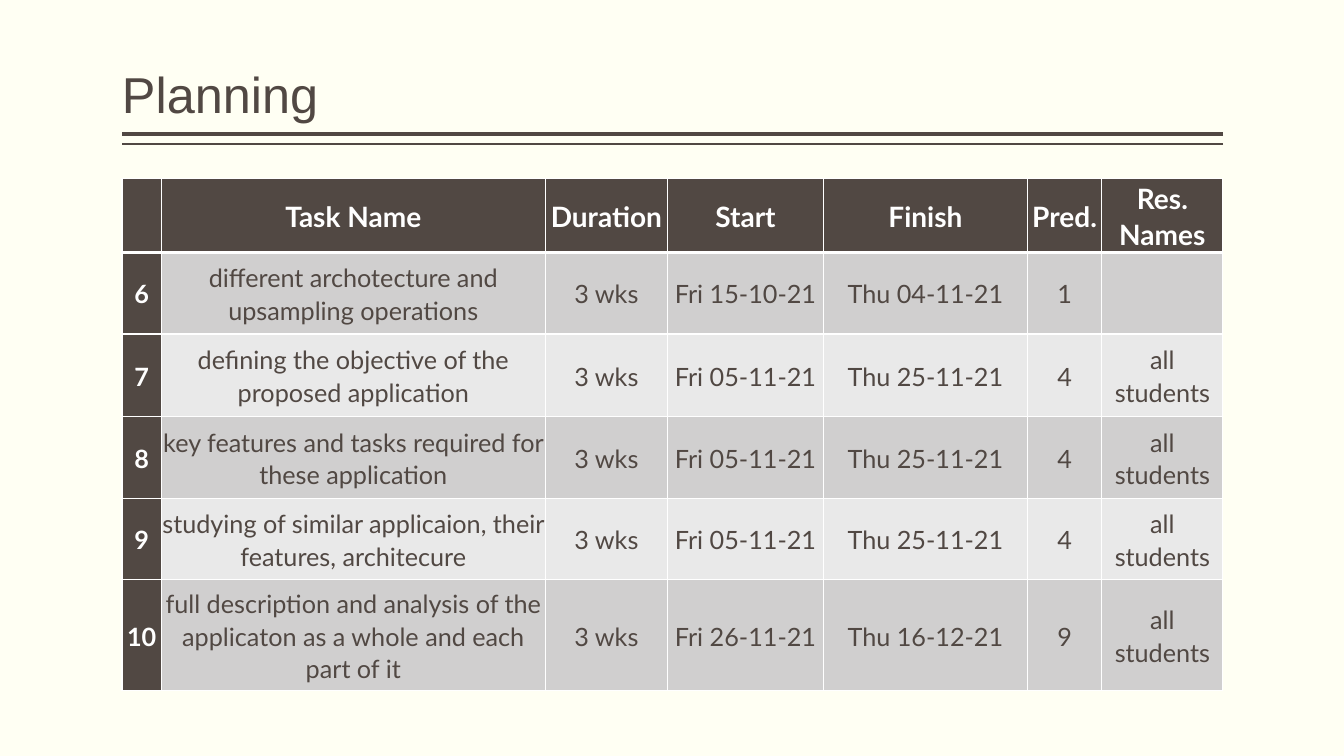
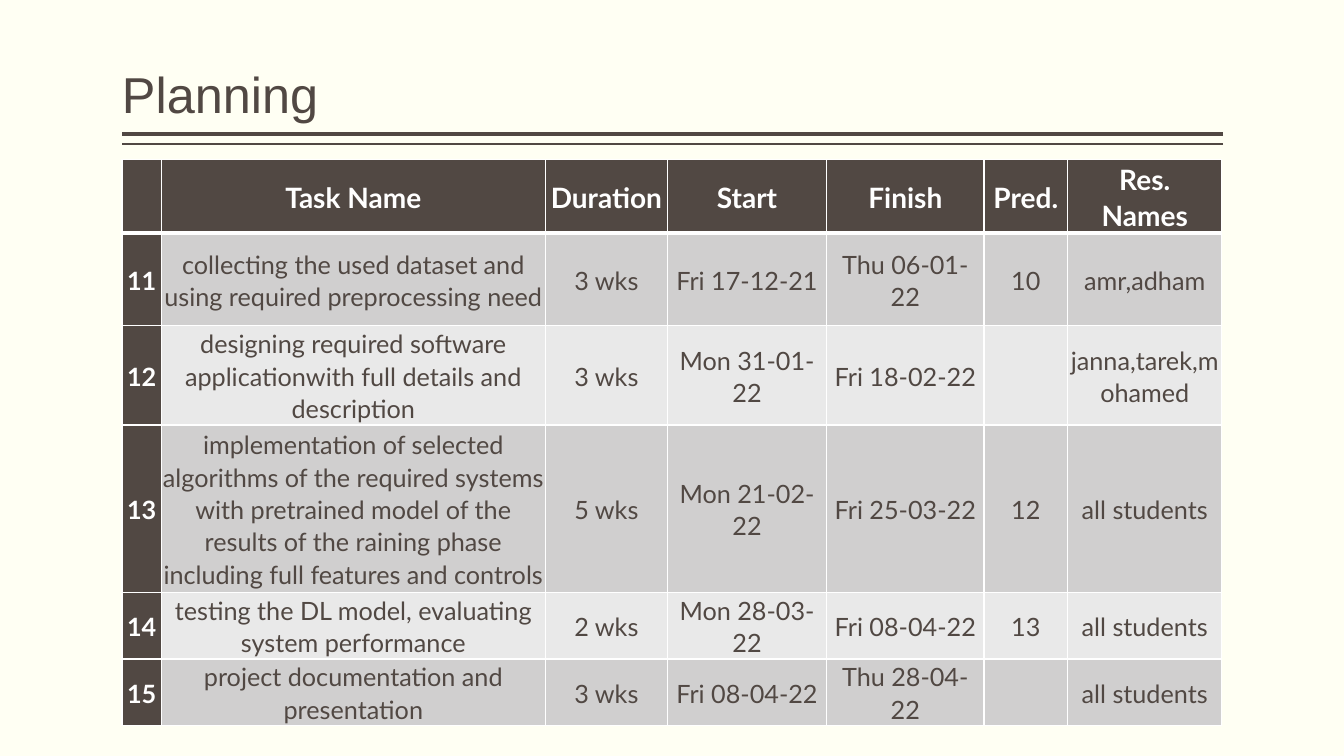
from pptx import Presentation
from pptx.dml.color import RGBColor
from pptx.enum.shapes import MSO_CONNECTOR
from pptx.enum.text import MSO_ANCHOR, PP_ALIGN
from pptx.oxml import parse_xml
from pptx.oxml.ns import nsdecls
from pptx.util import Inches, Pt

STRAIGHT = MSO_CONNECTOR.STRAIGHT
MIDDLE, BOTTOM = MSO_ANCHOR.MIDDLE, MSO_ANCHOR.BOTTOM
CENTER = PP_ALIGN.CENTER

COLORS = {
    "page": "FFFFF3",
    "dark": "514843",
    "light": "FFFFFF",
    "odd_row": "D0CFCF",
    "even_row": "E9E9E9",
}
TITLE_FONT, TABLE_FONT = "Arial", "Lato"
LEFT, WIDTH = 1.21, 10.92
TITLE_BOX = (LEFT, 0.08, WIDTH, 1.2)
RULES = ((1.33, 3), (1.43, 1))
CELL_MARGIN = Inches(0.01)
HEADINGS = ("", "Task Name", "Duration", "Start", "Finish", "Pred.", "Res.\nNames")

PLANS = (
    {
        "top": 1.77,
        "columns": (0.39, 3.81, 1.21, 1.55, 2.02, 0.74, 1.2),
        "heights": (0.7, 0.81, 0.82, 0.81, 0.81, 1.1),
        "tasks": (
            ("6", "different archotecture and upsampling operations",
             "3 wks", "Fri 15-10-21", "Thu 04-11-21", "1", ""),
            ("7", "defining the objective of the proposed application",
             "3 wks", "Fri 05-11-21", "Thu 25-11-21", "4", "all students"),
            ("8", "key features and tasks required for these application",
             "3 wks", "Fri 05-11-21", "Thu 25-11-21", "4", "all students"),
            ("9", "studying of similar applicaion, their features, architecure",
             "3 wks", "Fri 05-11-21", "Thu 25-11-21", "4", "all students"),
            ("10", "full description and analysis of the applicaton as a whole "
             "and each part of it",
             "3 wks", "Fri 26-11-21", "Thu 16-12-21", "9", "all students"),
        ),
    },
    {
        "top": 1.58,
        "columns": (0.39, 3.81, 1.21, 1.58, 1.56, 0.83, 1.53),
        "heights": (0.68, 0.92, 0.92, 1.66, 0.61, 0.61),
        "tasks": (
            ("11", "collecting the used dataset and using required preprocessing need",
             "3 wks", "Fri 17-12-21", "Thu 06-01-22", "10", "amr,adham"),
            ("12", "designing required software applicationwith full details "
             "and description",
             "3 wks", "Mon 31-01-22", "Fri 18-02-22", "", "janna,tarek,mohamed"),
            ("13", "implementation of selected algorithms of the required systems "
             "with pretrained model of the results of the raining phase "
             "including full features and controls",
             "5 wks", "Mon 21-02-22", "Fri 25-03-22", "12", "all students"),
            ("14", "testing the DL model, evaluating system performance",
             "2 wks", "Mon 28-03-22", "Fri 08-04-22", "13", "all students"),
            ("15", "project documentation and presentation",
             "3 wks", "Fri 08-04-22", "Thu 28-04-22", "", "all students"),
        ),
    },
)


def color(name):
    return RGBColor.from_string(COLORS[name])


def set_font(para, name, size, color_name, bold=False):
    para.font.name = name
    para.font.size = Pt(size)
    para.font.bold = bold
    para.font.color.rgb = color(color_name)


def add_rule(page, left, top, width, weight):
    start, end, height = Inches(left + width), Inches(left), Inches(top)
    rule = page.shapes.add_connector(STRAIGHT, start, height, end, height)
    rule.line.color.rgb = color("dark")
    rule.line.width = Pt(weight)
    rule._element.spPr.append(parse_xml(f"<a:effectLst {nsdecls('a')}/>"))


def add_title(page, text, box):
    title = page.shapes.add_textbox(*map(Inches, box))
    frame = title.text_frame
    frame.word_wrap = True
    frame.vertical_anchor = BOTTOM
    frame.margin_left = frame.margin_right = 0
    frame.text = text
    para = frame.paragraphs[0]
    para.line_spacing = 0.9
    set_font(para, TITLE_FONT, 36, "dark")


def set_borders(cell, top, bottom):
    properties = cell._tc.get_or_add_tcPr()
    for side, weight in (("L", 1), ("R", 1), ("T", top), ("B", bottom)):
        properties.append(parse_xml(
            f'<a:ln{side} {nsdecls("a")} w="{Pt(weight)}"><a:solidFill>'
            f'<a:srgbClr val="{COLORS["light"]}"/></a:solidFill></a:ln{side}>'))


def fill_cell(cell, text, row, column):
    is_label = row == 0 or column == 0
    band = "odd_row" if row % 2 else "even_row"
    set_borders(cell, 3 if row == 1 else 1, 3 if row == 0 else 1)
    cell.fill.solid()
    cell.fill.fore_color.rgb = color("dark" if is_label else band)
    cell.vertical_anchor = MIDDLE
    cell.margin_left = cell.margin_right = CELL_MARGIN
    cell.margin_top = cell.margin_bottom = CELL_MARGIN
    cell.text_frame.text = text
    for para in cell.text_frame.paragraphs:
        para.alignment = CENTER
        para.line_spacing = 1.07
        set_font(para, TABLE_FONT, 18 if row else 20,
                 "light" if is_label else "dark", is_label)


def add_task_table(page, plan, left, width):
    rows = (HEADINGS, *plan["tasks"])
    table = page.shapes.add_table(
        len(rows), len(HEADINGS), Inches(left), Inches(plan["top"]),
        Inches(width), Inches(sum(plan["heights"]))).table
    table.first_col = True
    table.horz_banding = False
    for column, column_width in zip(table.columns, plan["columns"]):
        column.width = Inches(column_width)
    for row, height in zip(table.rows, plan["heights"]):
        row.height = Inches(height)
    for row_index, texts in enumerate(rows):
        for column_index, text in enumerate(texts):
            fill_cell(table.cell(row_index, column_index), text,
                      row_index, column_index)


def add_planning_slide(deck, plan):
    page = deck.slides.add_slide(deck.slide_layouts[6])
    for top, weight in RULES:
        add_rule(page, LEFT, top, WIDTH, weight)
    add_title(page, "Planning", TITLE_BOX)
    add_task_table(page, plan, LEFT, WIDTH)


def main():
    deck = Presentation()
    deck.slide_width, deck.slide_height = Inches(13.33), Inches(7.5)
    background = deck.slide_master.background.fill
    background.solid()
    background.fore_color.rgb = color("page")
    for plan in PLANS:
        add_planning_slide(deck, plan)
    deck.save("out.pptx")


if __name__ == "__main__":
    main()
